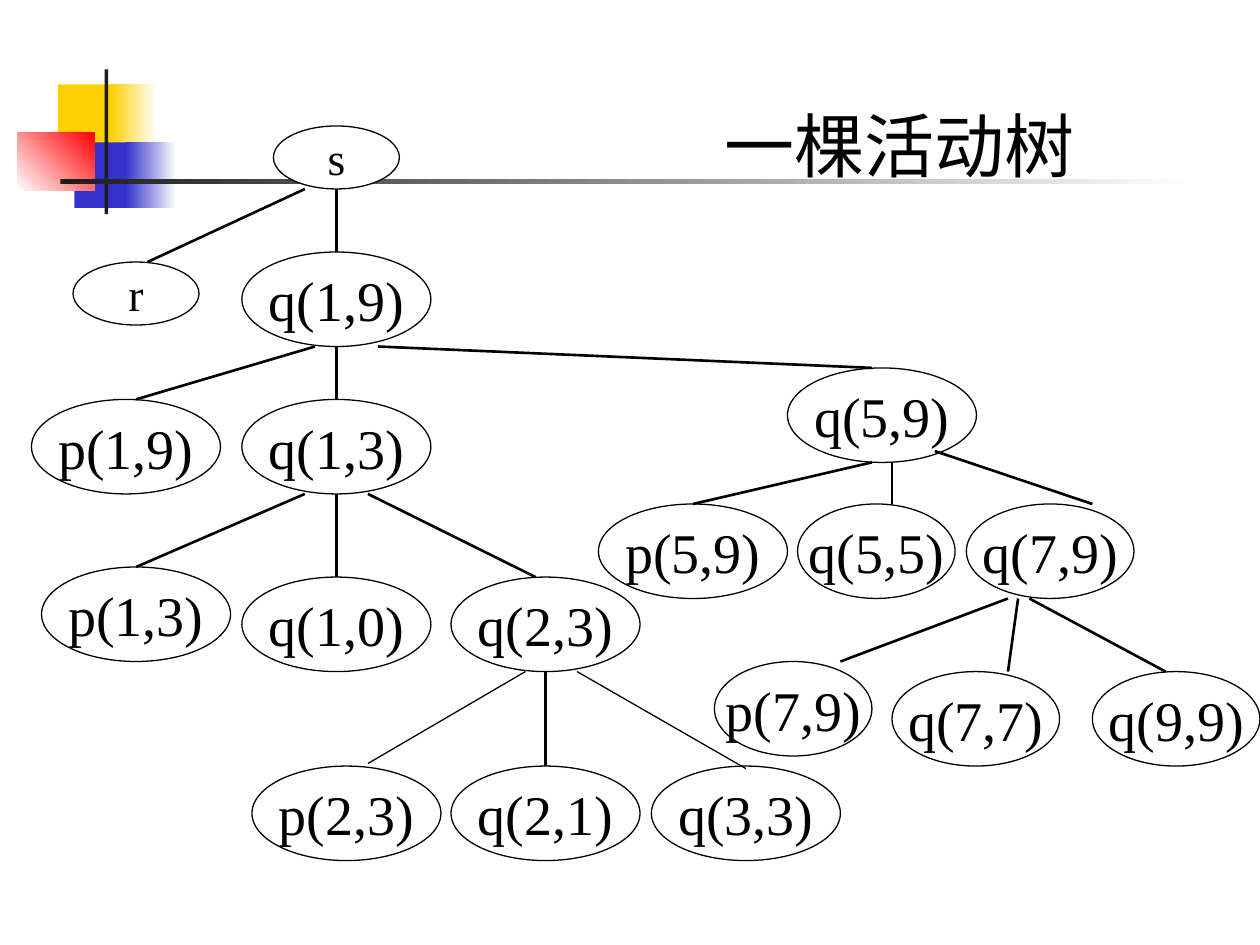
"""Build the activation tree slide."""
from typing import NamedTuple, Optional

from lxml import etree
from pptx import Presentation
from pptx.dml.color import RGBColor
from pptx.enum.shapes import MSO_CONNECTOR, MSO_SHAPE
from pptx.enum.text import MSO_ANCHOR, MSO_AUTO_SIZE, PP_ALIGN
from pptx.oxml.ns import qn
from pptx.util import Inches, Pt

RECT, OVAL = MSO_SHAPE.RECTANGLE, MSO_SHAPE.OVAL
STRAIGHT = MSO_CONNECTOR.STRAIGHT
LEFT, CENTER = PP_ALIGN.LEFT, PP_ALIGN.CENTER
TOP, MIDDLE = MSO_ANCHOR.TOP, MSO_ANCHOR.MIDDLE
NO_AUTOFIT = MSO_AUTO_SIZE.NONE

WHITE = RGBColor(0xFF, 0xFF, 0xFF)
BLACK = RGBColor(0x00, 0x00, 0x00)
YELLOW = RGBColor(0xFF, 0xCF, 0x01)
BLUE = RGBColor(0x33, 0x33, 0xCC)
RED = RGBColor(0xFF, 0x00, 0x00)
CHARCOAL = RGBColor(0x1C, 0x1C, 0x1C)


class Block(NamedTuple):
    x: float
    y: float
    w: float
    h: float
    color: RGBColor
    fade_to: Optional[RGBColor] = None
    angle: float = 0


class Node(NamedTuple):
    text: str
    x: float
    y: float
    w: float = 1.5
    h: float = 0.75
    size: float = 32


class Edge(NamedTuple):
    x1: float
    y1: float
    x2: float
    y2: float
    weight: float = 1.5


BLOCKS = [
    Block(0.46, 0.67, 0.48, 0.52, YELLOW),
    Block(0.88, 0.67, 0.36, 0.52, YELLOW, WHITE),
    Block(0.59, 1.13, 0.46, 0.52, BLUE),
    Block(1, 1.13, 0.4, 0.52, BLUE, WHITE),
    Block(0.14, 1.05, 0.61, 0.46, WHITE, RED, 45),
    Block(0.83, 0.55, 0.03, 1.15, CHARCOAL),
    Block(0.48, 1.42, 9, 0.04, CHARCOAL, WHITE),
]

NODES = [
    Node("s", 2.17, 1, 1, 0.5, 26),
    Node("r", 0.58, 2.08, 1, 0.5, 26),
    Node("q(1,9)", 1.92, 2),
    Node("p(1,9)", 0.25, 3.17),
    Node("q(1,3)", 1.92, 3.17),
    Node("p(1,3)", 0.33, 4.5),
    Node("q(1,0)", 1.92, 4.58),
    Node("q(2,3)", 3.58, 4.58),
    Node("p(2,3)", 2, 6.08),
    Node("q(2,1)", 3.58, 6.08),
    Node("q(3,3)", 5.17, 6.08),
    Node("q(5,9)", 6.25, 2.92),
    Node("p(5,9)", 4.75, 4),
    Node("q(5,5)", 6.33, 4, 1.25),
    Node("q(7,9)", 7.67, 4, 1.33),
    Node("p(7,9)", 5.67, 5.25, 1.25),
    Node("q(7,7)", 7.08, 5.33, 1.33),
    Node("q(9,9)", 8.67, 5.33, 1.33),
]

EDGES = [
    Edge(2.42, 1.5, 1.17, 2.08),
    Edge(2.67, 1.5, 2.67, 2),
    Edge(2.5, 2.75, 1.08, 3.17),
    Edge(2.67, 2.75, 2.67, 3.17),
    Edge(3, 2.75, 6.92, 2.92),
    Edge(2.42, 3.92, 1.08, 4.5),
    Edge(2.67, 3.92, 2.67, 4.58),
    Edge(2.92, 3.92, 4.25, 4.58),
    Edge(4.17, 5.33, 2.92, 6.06, 0.75),
    Edge(4.33, 5.33, 4.33, 6.08),
    Edge(4.58, 5.33, 5.92, 6.1, 0.75),
    Edge(6.92, 3.67, 5.5, 4),
    Edge(7.08, 3.67, 7.08, 4),
    Edge(7.42, 3.58, 8.67, 4),
    Edge(8, 4.75, 6.67, 5.25),
    Edge(8.08, 4.75, 8, 5.33),
    Edge(8.17, 4.75, 9.25, 5.33),
]


def add_block(s, block: Block) -> None:
    sp = s.shapes.add_shape(RECT, *map(Inches, block[:4]))
    sp.shadow.inherit = False
    sp.line.fill.background()
    if block.fade_to is None:
        sp.fill.solid()
        sp.fill.fore_color.rgb = block.color
    else:
        sp.fill.gradient()
        sp.fill.gradient_angle = block.angle
        for stop, color in zip(sp.fill.gradient_stops, (block.color, block.fade_to)):
            stop.color.rgb = color


def set_text(sp, text: str, font: str, size: float, align, anchor) -> None:
    tf = sp.text_frame
    tf.text = text
    tf.word_wrap = False
    tf.auto_size = NO_AUTOFIT
    tf.vertical_anchor = anchor
    p = tf.paragraphs[0]
    p.alignment = align
    p.font.name = font
    p.font.size = Pt(size)
    p.font.color.rgb = BLACK


def add_node(s, node: Node) -> None:
    sp = s.shapes.add_shape(OVAL, *map(Inches, node[1:5]))
    sp.shadow.inherit = False
    sp.fill.solid()
    sp.fill.fore_color.rgb = WHITE
    sp.line.color.rgb = BLACK
    sp.line.width = Pt(0.75)
    set_text(sp, node.text, "Times New Roman", node.size, CENTER, MIDDLE)


def add_edge(s, edge: Edge) -> None:
    line = s.shapes.add_connector(STRAIGHT, *map(Inches, edge[:4]))
    line.line.color.rgb = BLACK
    line.line.width = Pt(edge.weight)
    etree.SubElement(line._element.spPr, qn("a:effectLst"))


def add_title(s, text: str) -> None:
    sp = s.shapes.title
    sp.left, sp.top, sp.width, sp.height = map(Inches, (5.65, 0.76, 2.97, 0.77))
    set_text(sp, text, "Karla", 40, LEFT, TOP)
    sp.text_frame.margin_right = Inches(0)


def main() -> None:
    prs = Presentation()
    prs.slide_width, prs.slide_height = Inches(10), Inches(7.5)
    s = prs.slides.add_slide(prs.slide_layouts[5])
    for block in BLOCKS:
        add_block(s, block)
    for node in NODES:
        add_node(s, node)
    for edge in EDGES:
        add_edge(s, edge)
    add_title(s, "一棵活动树")
    prs.save("out.pptx")


if __name__ == "__main__":
    main()
